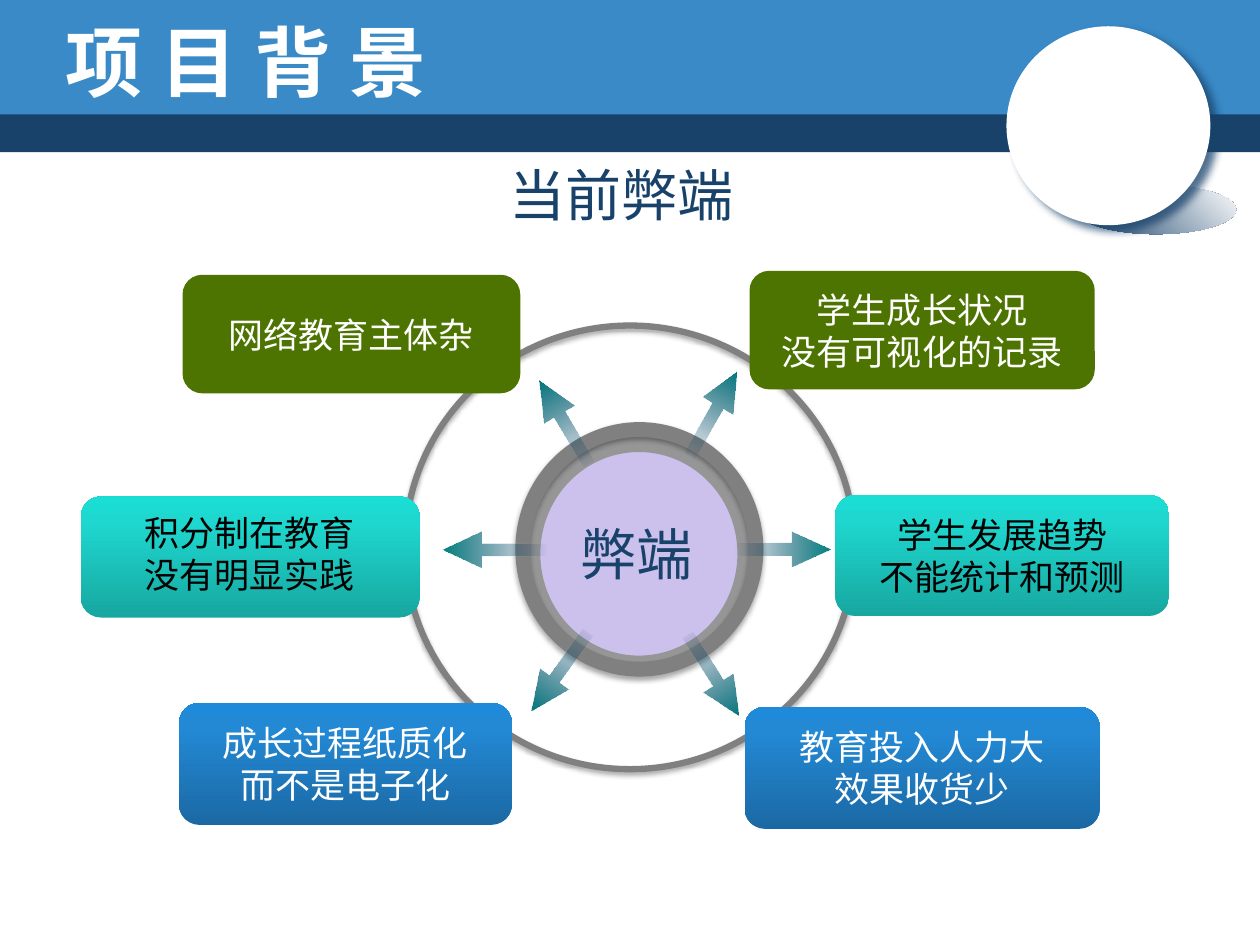
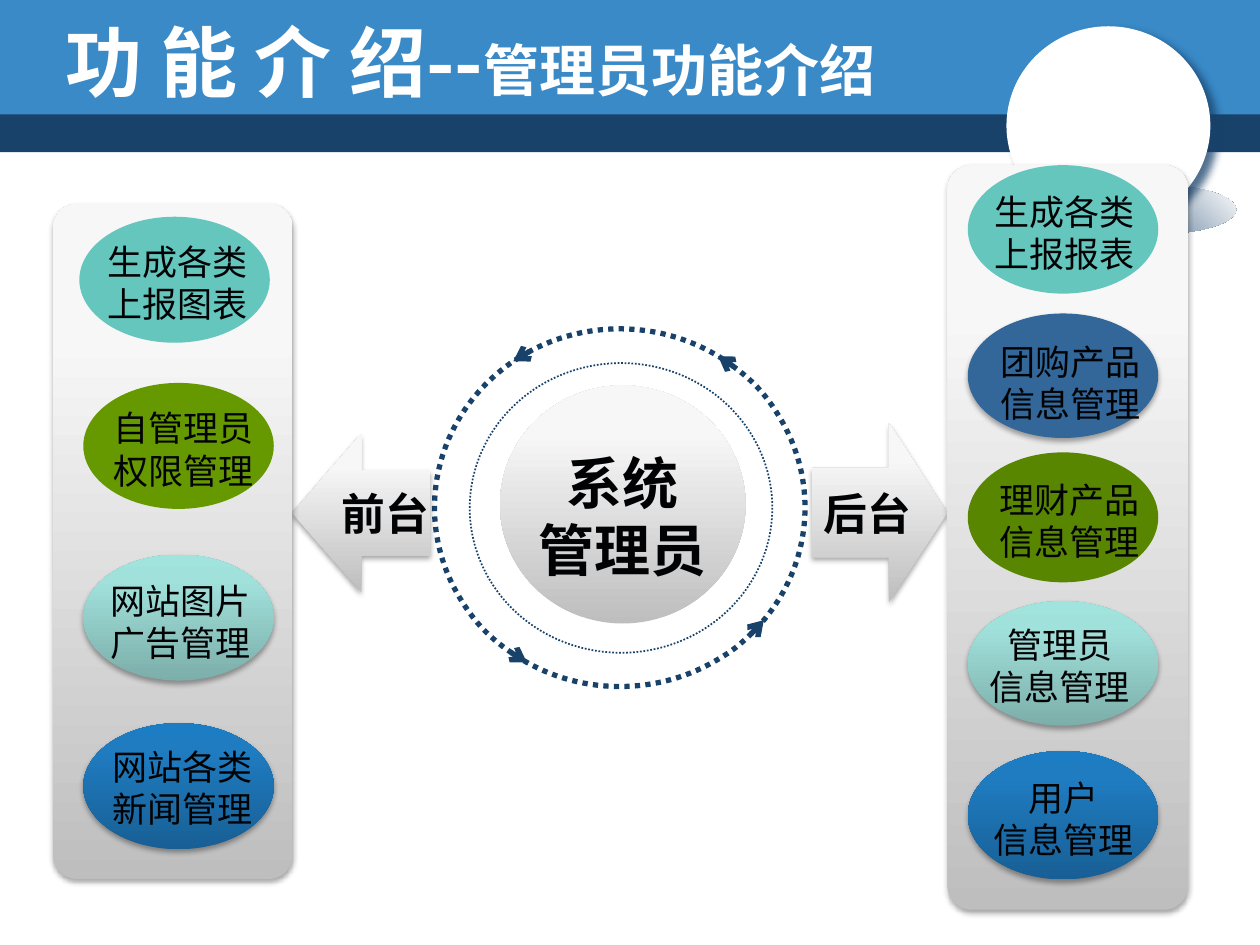
from dataclasses import dataclass

from lxml.etree import SubElement
from pptx import Presentation
from pptx.dml.color import RGBColor
from pptx.enum.dml import MSO_LINE
from pptx.enum.shapes import MSO_SHAPE
from pptx.enum.text import MSO_ANCHOR, MSO_AUTO_SIZE, PP_ALIGN
from pptx.oxml.ns import qn
from pptx.util import Cm, Pt


def upward(bottom, middle, top):
    """Gradient stops that run from the bottom edge to the top edge."""
    return 270, ((0, bottom, 100), (80, middle, 100), (100, top, 100))


@dataclass(frozen=True)
class Theme:
    navy: str = "19426B"
    band: str = "398AC7"
    white: str = "FFFFFF"
    ink: str = "010203"
    gray: str = "808080"
    light_gray: str = "969696"
    lilac: str = "6D50CA"
    dark_green: str = "4D7400"
    green: str = "669900"
    leaf: str = "598600"
    aqua: str = "65C6BE"
    steel: str = "336699"
    turquoise: tuple = upward("17A7A0", "1ED8CF", "1ADDD4")
    blue: tuple = upward("1B69A4", "2389D5", "1F8ADA")
    deep_blue: tuple = upward("185F95", "1F7CC1", "1C7DC5")
    mint: tuple = upward("7CAEAA", "A1E1DC", "A1E4DE")
    silver: tuple = upward("BEBEBE", "F7F7F7", "F8F8F8")
    spoke: tuple = (0, ((0, "002D5B", 0), (100, "008080", 100)))
    badge_shade: tuple = (315, ((0, "19426B", 100), (100, "FFFFFF", 100)))
    soft_shadow: tuple = ("000000", 35, 3.1, 1.8, 90)
    badge_shadow: tuple = ("19426B", 75, 5, 5, 37)
    cjk: str = "Noto Sans CJK SC"
    latin: str = "Arial"
    fallback: str = "DejaVu Sans"
    title: int = 44
    heading: int = 32
    direction: int = 25
    body: int = 20


THEME = Theme()


def set_all(target, values):
    for name, value in values.items():
        setattr(target, name, value)


def add_color(parent, color, opacity):
    node = SubElement(parent, qn("a:srgbClr"), val=color)
    if opacity < 100:
        SubElement(node, qn("a:alpha"), val=str(opacity * 1000))


class Deck:
    def __init__(self, theme):
        self.theme = theme
        self.presentation = Presentation()
        set_all(self.presentation, {"slide_width": Cm(25.4), "slide_height": Cm(19.05)})
        self.slide = None

    def new_slide(self, *title_runs):
        """Start a slide with the shared header; each title run is (text, size)."""
        t = self.theme
        self.slide = self.presentation.slides.add_slide(self.presentation.slide_layouts[5])
        self.shape(MSO_SHAPE.RECTANGLE, (0, 2.21, 25.4, 0.86), t.navy)
        self.shape(MSO_SHAPE.RECTANGLE, (0, 0, 25.4, 2.31), t.band)
        self.shape(MSO_SHAPE.OVAL, (21.69, 3.73, 3.23, 0.99), t.badge_shade)
        self.shape(MSO_SHAPE.OVAL, (20.29, 0.53, 4.11, 4.01), t.white, shadow=t.badge_shadow)
        title = self.slide.shapes.title
        title.element.getparent().append(title.element)
        set_all(title, {"left": Cm(1.07), "top": Cm(0.43), "width": Cm(20.52), "height": Cm(1.57)})
        set_all(title.text_frame, {"vertical_anchor": MSO_ANCHOR.MIDDLE,
                                   "auto_size": MSO_AUTO_SIZE.NONE})
        paragraph = title.text_frame.paragraphs[0]
        paragraph.alignment = PP_ALIGN.LEFT
        for text, size in title_runs:
            self.add_words(paragraph, text, size, t.white, t.cjk, True)

    def add_words(self, paragraph, text, size, color, font, bold):
        words = paragraph.add_run()
        words.text = text
        set_all(words.font, {"size": Pt(size), "name": font, "bold": bold})
        words.font.color.rgb = RGBColor.from_string(color)
        SubElement(words.font._element, qn("a:ea"), typeface=font)

    def fill_text(self, shape, text, size, color, font, bold=False,
                  align=PP_ALIGN.CENTER, anchor=MSO_ANCHOR.MIDDLE):
        set_all(shape.text_frame, {"word_wrap": False, "vertical_anchor": anchor})
        for index, line in enumerate(text.split("\n")):
            paragraph = (shape.text_frame.add_paragraph() if index
                         else shape.text_frame.paragraphs[0])
            paragraph.alignment = align
            self.add_words(paragraph, line, size, color, font, bold)

    def label(self, box, text, size, color, font, **style):
        area = self.slide.shapes.add_textbox(*map(Cm, box))
        self.fill_text(area, text, size, color, font, anchor=MSO_ANCHOR.TOP, **style)

    def shape(self, kind, box, fill=None, opacity=100, shadow=None, adjust=(), rotation=0):
        """Add a preset shape; fill is a colour, (angle, stops) or None."""
        shape = self.slide.shapes.add_shape(kind, *map(Cm, box))
        shape.shadow.inherit = False
        shape.line.fill.background()
        shape.rotation = rotation
        for index, value in enumerate(adjust):
            shape.adjustments[index] = value
        if fill is None:
            shape.fill.background()
        elif isinstance(fill, str):
            shape.fill.solid()
            shape.fill.fore_color.rgb = RGBColor.from_string(fill)
            if opacity < 100:
                color = shape.element.spPr.find(qn("a:solidFill"))[0]
                SubElement(color, qn("a:alpha"), val=str(opacity * 1000))
        else:
            self.gradient(shape, *fill)
        if shadow:
            self.cast_shadow(shape, *shadow)
        return shape

    def gradient(self, shape, angle, stops):
        shape.fill.gradient()
        gradient = shape.element.spPr.find(qn("a:gradFill"))
        stop_list = gradient.find(qn("a:gsLst"))
        for old_stop in list(stop_list):
            stop_list.remove(old_stop)
        for position, color, opacity in stops:
            stop = SubElement(stop_list, qn("a:gs"), pos=str(position * 1000))
            add_color(stop, color, opacity)
        gradient.find(qn("a:lin")).set("ang", str(angle * 60000))

    def cast_shadow(self, shape, color, opacity, blur, distance, direction):
        effects = shape.element.spPr.find(qn("a:effectLst"))
        outer = SubElement(effects, qn("a:outerShdw"), blurRad=str(Pt(blur)),
                           dist=str(Pt(distance)), dir=str(direction * 60000),
                           algn="ctr", rotWithShape="0")
        add_color(outer, color, opacity)

    def dotted(self, kind, box, width, adjust=()):
        shape = self.shape(kind, box, adjust=adjust)
        shape.line.color.rgb = RGBColor.from_string(self.theme.navy)
        set_all(shape.line, {"width": Pt(width), "dash_style": MSO_LINE.ROUND_DOT})
        return shape

    def orbit_arrow(self, box, start, end):
        """Arc clockwise from start to end in degrees, with its arrowhead at start."""
        arc = self.dotted(MSO_SHAPE.ARC, box, 3, (start * 0.6, end * 0.6))
        SubElement(arc.element.spPr.find(qn("a:ln")), qn("a:headEnd"), type="arrow")


def build_background(deck):
    t = deck.theme
    deck.new_slide(("项 目 背 景", t.title))
    deck.shape(MSO_SHAPE.DONUT, (8.1, 6.5, 9.2, 9.07), t.gray,
               shadow=t.soft_shadow, adjust=(0.014,))

    drawbacks = [
        ((3.68, 5.54, 6.81, 2.39), t.dark_green, t.white, t.cjk, "网络教育主体杂"),
        ((16.84, 9.98, 6.73, 2.44), t.turquoise, t.ink, t.fallback, "学生发展趋势\n不能统计和预测"),
        ((15.11, 5.46, 6.96, 2.39), t.dark_green, t.white, t.fallback, "学生成长状况\n没有可视化的记录"),
        ((15.01, 14.25, 7.16, 2.46), t.blue, t.white, t.cjk, "教育投入人力大\n效果收货少"),
        ((3.61, 14.17, 6.71, 2.46), t.blue, t.white, t.cjk, "成长过程纸质化\n而不是电子化"),
    ]
    for box, fill, color, font, text in drawbacks:
        card = deck.shape(MSO_SHAPE.ROUNDED_RECTANGLE, box, fill)
        deck.fill_text(card, text, t.body, color, font)

    deck.shape(MSO_SHAPE.OVAL, (10.74, 8.89, 4.27, 4.5), t.lilac, opacity=35)
    deck.shape(MSO_SHAPE.DONUT, (10.57, 8.79, 4.62, 4.75), t.light_gray, adjust=(0.07,))
    deck.shape(MSO_SHAPE.DONUT, (10.39, 8.51, 5, 5.13), t.gray,
               shadow=t.soft_shadow, adjust=(0.06,))

    spokes = [(13.41, 7.98, 1.93, 299.6), (13.41, 13.26, 1.93, 57.8),
              (10.41, 8.15, 1.93, 239.5), (10.31, 13.18, 1.93, 125.6),
              (14.81, 10.72, 1.93, 0), (8.92, 10.72, 2.11, 180)]
    for left, top, length, rotation in spokes:
        deck.shape(MSO_SHAPE.RIGHT_ARROW, (left, top, length, 0.71), t.spoke,
                   adjust=(0.35, 1.11), rotation=rotation)

    deck.label((11.46, 10.34, 3.05, 1.6), "弊端", t.heading, t.navy, t.cjk,
               align=PP_ALIGN.LEFT)
    deck.shape(MSO_SHAPE.ROUNDED_RECTANGLE, (1.63, 10.01, 6.83, 2.44), t.turquoise)
    deck.label((1.65, 10.19, 6.76, 1.96), "积分制在教育\n没有明显实践",
               t.body, t.ink, t.latin)
    deck.label((4.14, 3.12, 16.79, 1.63), "当前弊端", t.heading, t.navy, t.cjk)


def build_admin_functions(deck):
    t = deck.theme
    deck.new_slide(("功 能 介 绍--", t.title), ("管理员功能介绍", t.heading))
    deck.shape(MSO_SHAPE.OVAL, (10.08, 7.77, 4.95, 4.8), t.silver)
    for start, end in [(38, 126), (121, 236), (234, 305), (303, 43)]:
        deck.orbit_arrow((8.76, 6.63, 7.47, 7.21), start, end)
    deck.dotted(MSO_SHAPE.OVAL, (9.47, 7.32, 6.1, 5.84), 1)
    deck.label((10.59, 8.92, 3.94, 3), "系统\n管理员", t.heading, t.ink, t.latin, bold=True)

    directions = [
        (MSO_SHAPE.LEFT_ARROW, (5.89, 8.74, 2.79, 3.2), (0.54, 0.5), "前台"),
        (MSO_SHAPE.RIGHT_ARROW, (16.36, 8.53, 2.74, 3.61), (0.5, 0.43), "后台"),
    ]
    for kind, box, adjust, text in directions:
        arrow = deck.shape(kind, box, t.silver, shadow=t.soft_shadow, adjust=adjust)
        deck.fill_text(arrow, text, t.direction, t.ink, t.cjk, bold=True, align=PP_ALIGN.LEFT)

    left, center = PP_ALIGN.LEFT, PP_ALIGN.CENTER
    # Each function: oval left, top, height, fill, shadow; text left, top, alignment, words
    front = [
        (1.6, 4.37, 2.54, t.aqua, None, 1.91, 4.72, left, "生成各类\n上报图表"),
        (1.68, 7.72, 2.54, t.green, None, 2.03, 8.08, left, "自管理员\n权限管理"),
        (1.68, 11.18, 2.54, t.mint, t.soft_shadow, 1.98, 11.56, left, "网站图片\n广告管理"),
        (1.68, 14.58, 2.54, t.deep_blue, t.soft_shadow, 2.01, 14.91, left, "网站各类\n新闻管理"),
    ]
    back = [
        (19.51, 3.33, 2.59, t.aqua, None, 19.79, 3.71, left, "生成各类\n上报报表"),
        (19.51, 6.32, 2.51, t.steel, t.soft_shadow, 19.91, 6.73, left, "团购产品\n信息管理"),
        (19.51, 9.12, 2.62, t.leaf, None, 19.89, 9.53, left, "理财产品\n信息管理"),
        (19.51, 12.12, 2.51, t.mint, t.soft_shadow, 19.69, 12.45, center, "管理员\n信息管理"),
        (19.51, 15.14, 2.59, t.deep_blue, t.soft_shadow, 19.76, 15.52, center, "用户\n信息管理"),
    ]
    for panel, functions in [((1.07, 4.11, 4.83, 13.61), front),
                             ((19.1, 3.33, 4.85, 15.01), back)]:
        deck.shape(MSO_SHAPE.ROUNDED_RECTANGLE, panel, t.silver,
                   shadow=t.soft_shadow, adjust=(0.1,))
        for x, y, height, fill, shadow, text_x, text_y, align, text in functions:
            deck.shape(MSO_SHAPE.OVAL, (x, y, 3.84, height), fill, shadow=shadow)
            deck.label((text_x, text_y, 3.35, 1.96), text, t.body, t.ink, t.latin, align=align)


def main():
    deck = Deck(THEME)
    build_background(deck)
    build_admin_functions(deck)
    deck.presentation.save("out.pptx")


if __name__ == "__main__":
    main()
